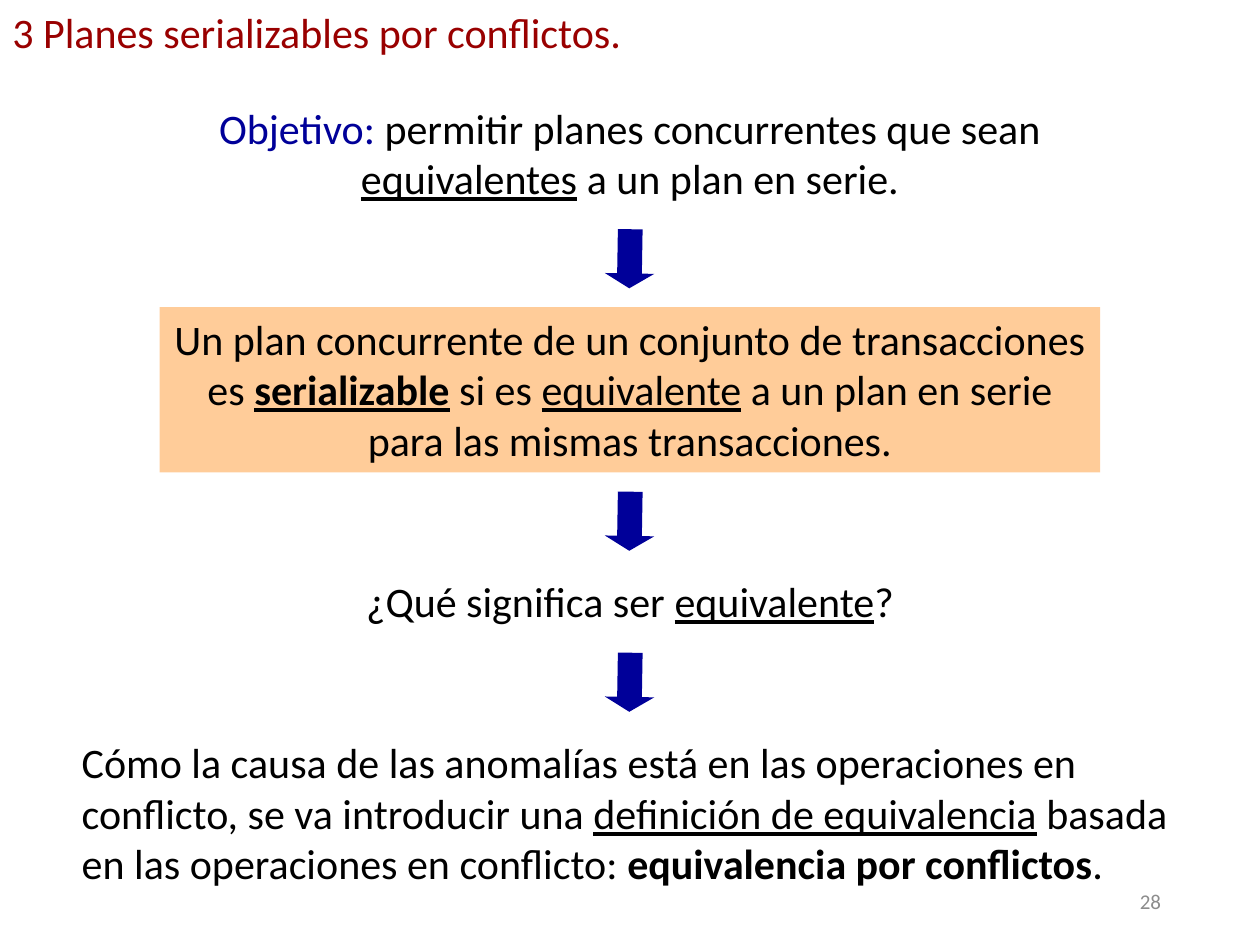
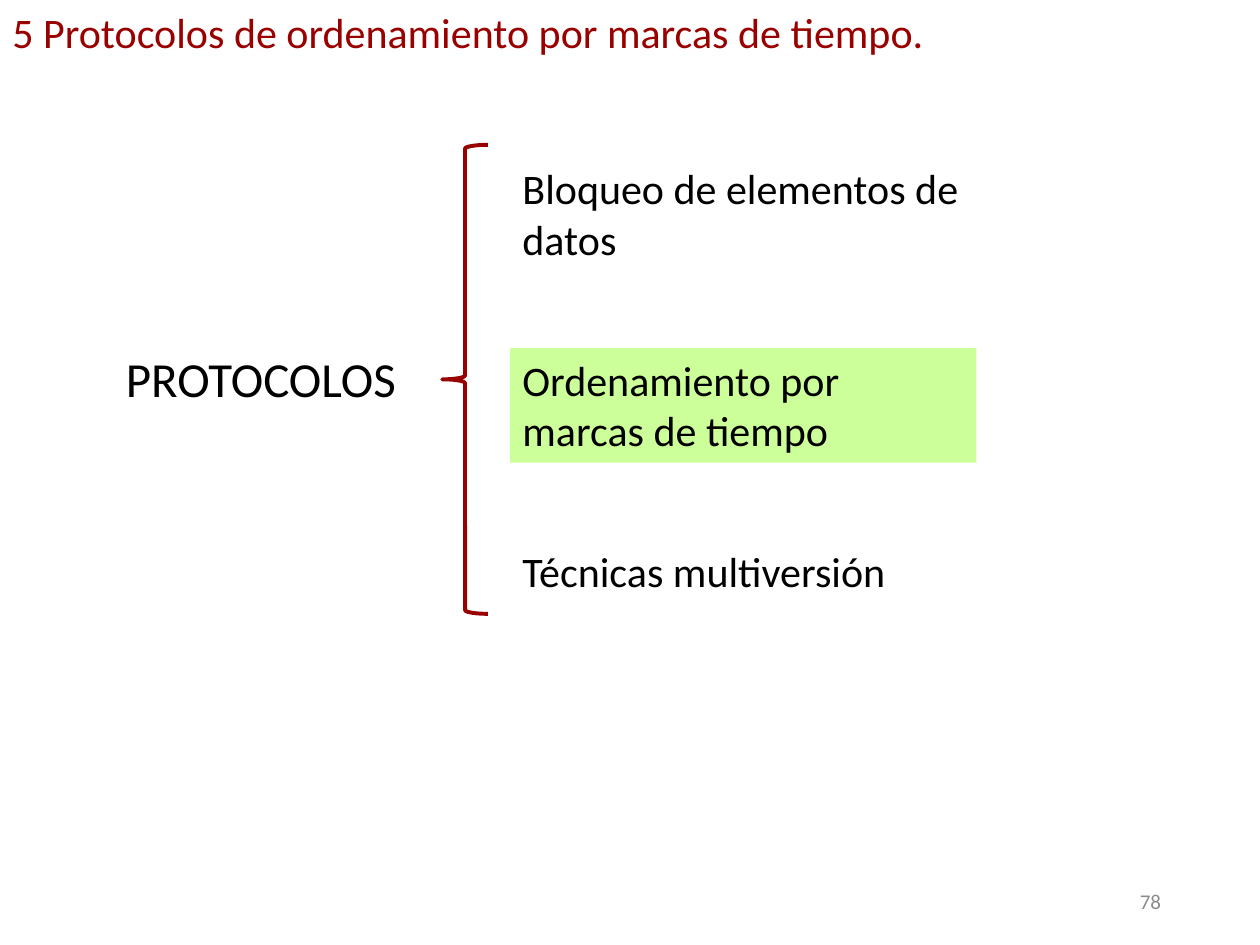
from dataclasses import dataclass
from typing import NamedTuple

from pptx import Presentation
from pptx.dml.color import RGBColor
from pptx.enum.shapes import MSO_SHAPE
from pptx.enum.text import MSO_ANCHOR, PP_ALIGN
from pptx.shapes.autoshape import Shape
from pptx.slide import Slide
from pptx.util import Pt

RECTANGLE = MSO_SHAPE.RECTANGLE
DOWN_ARROW = MSO_SHAPE.DOWN_ARROW
LEFT_BRACE = MSO_SHAPE.LEFT_BRACE
LEFT, CENTER, RIGHT = PP_ALIGN.LEFT, PP_ALIGN.CENTER, PP_ALIGN.RIGHT
TOP, MIDDLE = MSO_ANCHOR.TOP, MSO_ANCHOR.MIDDLE

FONT = "Calibri"
BODY_SIZE = 24
COLORS = {
    "white": "FFFFFF",
    "text": "000000",
    "title": "990000",
    "accent": "000099",
    "number": "8C8C8C",
    "definition": "FFCC99",
    "highlight": "CCFF99",
}


class Box(NamedTuple):
    left: float
    top: float
    width: float
    height: float


@dataclass(frozen=True)
class Span:
    text: str
    color: str = ""
    bold: bool = False
    underline: bool = False


@dataclass(frozen=True)
class Protocol:
    label: str
    height: float
    fill: str = ""


def rgb(color: str) -> RGBColor:
    return RGBColor.from_string(COLORS[color])


def add_preset(slide: Slide, preset: MSO_SHAPE, box: Box, fill: str = "",
               line: str = "", line_width: float = 1) -> Shape:
    shape = slide.shapes.add_shape(preset, *map(Pt, box))
    shape.shadow.inherit = False
    if fill:
        shape.fill.solid()
        shape.fill.fore_color.rgb = rgb(fill)
    else:
        shape.fill.background()
    if line:
        shape.line.color.rgb = rgb(line)
        shape.line.width = Pt(line_width)
    else:
        shape.line.fill.background()
    return shape


def add_text(slide: Slide, box: Box, *spans: Span, size: float = BODY_SIZE,
             color: str = "text", align: PP_ALIGN = LEFT, anchor: MSO_ANCHOR = TOP,
             wrap: bool = True, fill: str = "") -> None:
    """Write one paragraph of spans, on a filled rectangle if a fill is given."""
    if fill:
        holder = add_preset(slide, RECTANGLE, box, fill)
    else:
        holder = slide.shapes.add_textbox(*map(Pt, box))
    frame = holder.text_frame
    frame.word_wrap = wrap
    frame.vertical_anchor = anchor
    paragraph = frame.paragraphs[0]
    paragraph.alignment = align
    for span in spans:
        run = paragraph.add_run()
        run.text = span.text
        run.font.name = FONT
        run.font.size = Pt(size)
        run.font.bold = span.bold
        run.font.underline = span.underline
        run.font.color.rgb = rgb(span.color or color)


def start_slide(deck: Presentation, title: str, title_width: float, number: int) -> Slide:
    """Add a blank slide with the shared title and page number."""
    slide = deck.slides.add_slide(deck.slide_layouts[6])
    slide.background.fill.solid()
    slide.background.fill.fore_color.rgb = rgb("white")
    add_text(slide, Box(508.5, 500.5, 162, 28.75), Span(str(number)),
             size=12, color="number", align=RIGHT, anchor=MIDDLE)
    add_text(slide, Box(0, 0, title_width, 36), Span(title), color="title", wrap=False)
    return slide


def build_serializable_plans(deck: Presentation) -> None:
    slide = start_slide(deck, "3 Planes serializables por conflictos.", 365.75, 28)

    # Goal, definition and question, centred down the slide
    add_text(slide, Box(113.5, 54.75, 493, 65.5),
             Span("Objetivo: ", color="accent"),
             Span("permitir planes concurrentes que sean "),
             Span("equivalentes", underline=True),
             Span(" a un plan en serie."), align=CENTER)
    add_text(slide, Box(91.25, 175.5, 537.5, 94.5),
             Span("Un plan concurrente de un conjunto de transacciones es "),
             Span("serializable", bold=True, underline=True),
             Span(" si es "),
             Span("equivalente", underline=True),
             Span(" a un plan en serie para las mismas transacciones."),
             align=CENTER, fill="definition")
    add_text(slide, Box(181, 325.5, 358, 36.5),
             Span("¿Qué significa ser "),
             Span("equivalente", underline=True),
             Span("?"), align=CENTER)

    # Conclusion
    add_text(slide, Box(39.6, 417.6, 641, 94.5),
             Span("Cómo la causa de las anomalías está en las operaciones en "
                  "conflicto, se va introducir una "),
             Span("definición de equivalencia", underline=True),
             Span(" basada en las operaciones en conflicto: "),
             Span("equivalencia por conflictos", bold=True),
             Span("."))

    # Arrows between the steps
    for arrow_top in (131, 281, 373):
        arrow = add_preset(slide, DOWN_ARROW, Box(345.75, arrow_top, 28.25, 33.75), "accent")
        arrow.adjustments[0] = 0.5
        arrow.adjustments[1] = 0.3
        arrow.rotation = 1


def build_protocols(deck: Presentation) -> None:
    slide = start_slide(deck, "5 Protocolos de ordenamiento por marcas de tiempo.", 560, 78)
    add_text(slide, Box(61.2, 195.75, 172, 41), Span("PROTOCOLOS"), size=28, align=RIGHT)

    # Protocol families at an equal pitch
    protocols = (
        Protocol("Bloqueo de elementos de datos", 65.5),
        Protocol("Ordenamiento por marcas de tiempo", 65.5, "highlight"),
        Protocol("Técnicas multiversión", 36.5),
    )
    first_top, pitch = 89.4, 109.5
    for index, protocol in enumerate(protocols):
        add_text(slide, Box(291.5, first_top + index * pitch, 266.5, protocol.height),
                 Span(protocol.label), fill=protocol.fill)

    # Brace that opens the list
    add_preset(slide, LEFT_BRACE, Box(252.75, 82.8, 26, 268), line="title", line_width=2.25)


def main() -> None:
    deck = Presentation()
    deck.slide_width, deck.slide_height = Pt(720), Pt(540)
    build_serializable_plans(deck)
    build_protocols(deck)
    deck.save("out.pptx")


if __name__ == "__main__":
    main()
